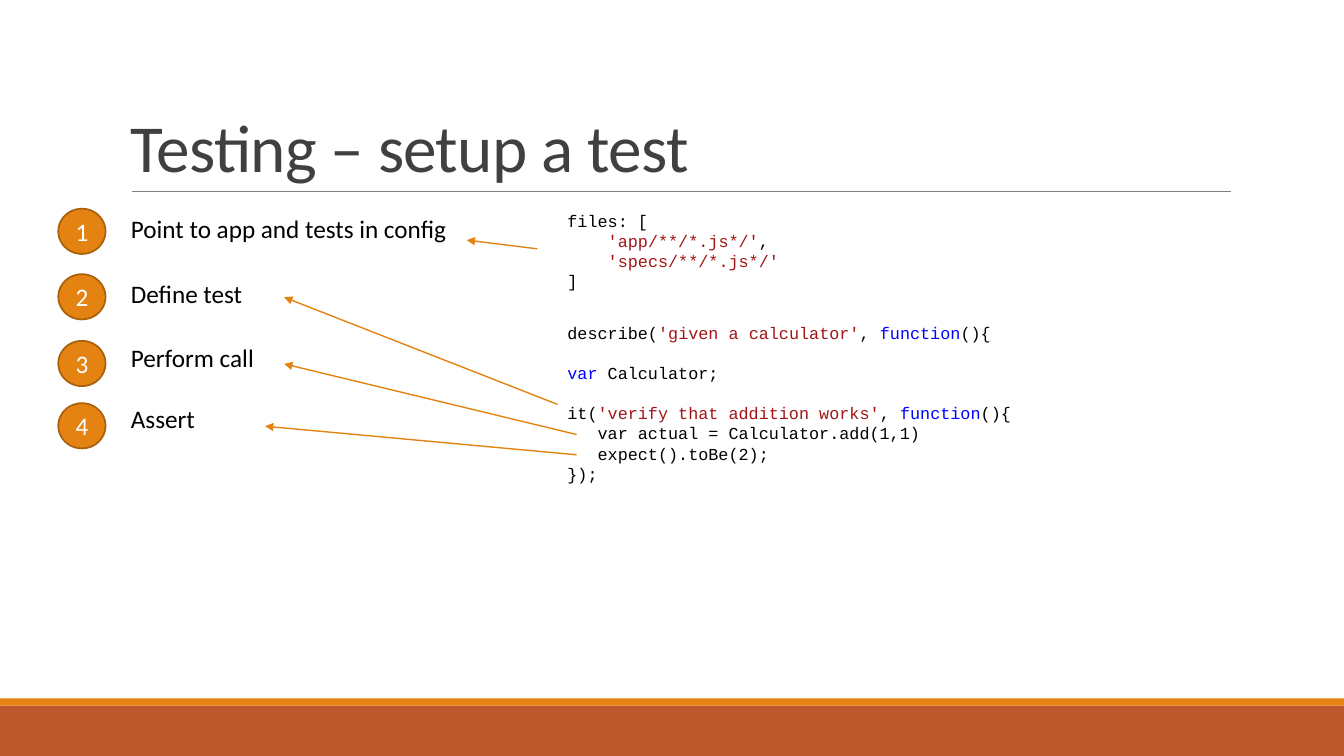
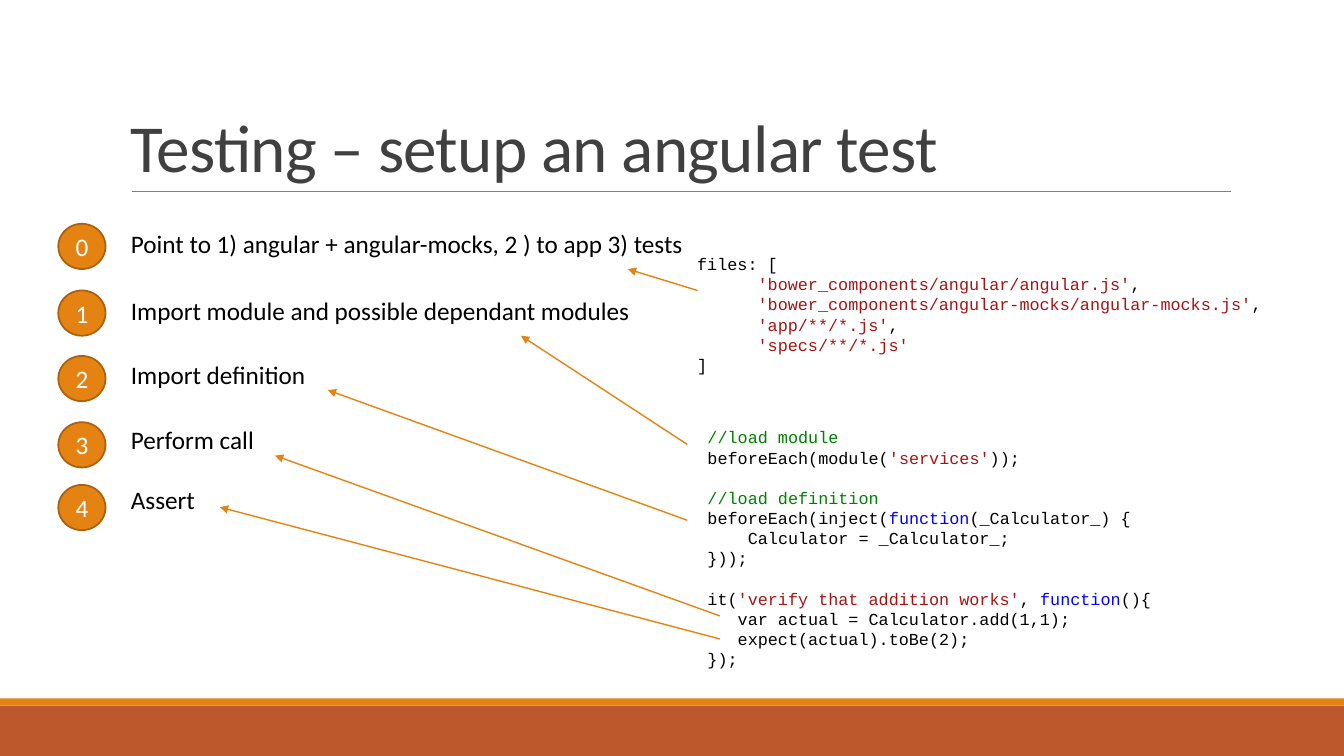
from typing import NamedTuple

from lxml.etree import SubElement
from pptx import Presentation
from pptx.dml.color import RGBColor
from pptx.enum.shapes import MSO_CONNECTOR, MSO_SHAPE
from pptx.enum.text import MSO_ANCHOR, PP_ALIGN
from pptx.oxml.ns import qn
from pptx.util import Cm, Pt

RUST = RGBColor(0xBD, 0x58, 0x2C)
ORANGE = RGBColor(0xE4, 0x83, 0x12)
BROWN = RGBColor(0xA9, 0x61, 0x0D)
GRAY = RGBColor(0x80, 0x80, 0x80)
CHARCOAL = RGBColor(0x40, 0x40, 0x40)
BLACK = RGBColor(0, 0, 0)
WHITE = RGBColor(0xFF, 0xFF, 0xFF)
STRING_RED = RGBColor(0xA3, 0x15, 0x15)
KEYWORD_BLUE = RGBColor(0, 0, 0xFF)
COMMENT_GREEN = RGBColor(0, 0x80, 0)

BODY_FONT = "Calibri"
CODE_FONT = "Courier New"
SLIDE_WIDTH, SLIDE_HEIGHT = 33.87, 19.05
LABEL_LEFT = 3.05
BADGE_LEFT = 1.47
CODE_WIDTH = 16.2
CODE_LINE = 14.4  # points
CODE_CHARACTER = 7.2  # points


class Step(NamedTuple):
    number: str
    label: str
    badge_top: float
    label_top: float


class CodeLine(NamedTuple):
    """Runs are plain text or (text, colour); indent counts characters."""
    runs: list
    indent: int = 0
    gap_before: bool = False


def string(text):
    return f"'{text}'", STRING_RED


def comment(text):
    return f"//{text}", COMMENT_GREEN


FUNCTION = ("function", KEYWORD_BLUE)
VERIFY_LINE = CodeLine(
    ["it(", string("verify that addition works"), ", ", FUNCTION, "(){"],
    gap_before=True)
END_LINE = CodeLine(["});"])


def write(paragraph, text, *, size=18, font=BODY_FONT, color=BLACK,
          align=PP_ALIGN.LEFT, tracking=None):
    """Append a formatted run; tracking is in hundredths of a point."""
    paragraph.alignment = align
    run = paragraph.add_run()
    run.text = text
    run.font.size = Pt(size)
    run.font.name = font
    run.font.color.rgb = color
    if tracking is not None:
        run.font._element.set("spc", str(tracking))


def add_frame(slide, left, top, width, height, anchor=MSO_ANCHOR.TOP):
    """Add an empty wrapping text box and return its text frame."""
    frame = slide.shapes.add_textbox(
        Cm(left), Cm(top), Cm(width), Cm(height)).text_frame
    frame.word_wrap = True
    frame.vertical_anchor = anchor
    return frame


def add_filled(slide, kind, left, top, width, height, fill):
    shape = slide.shapes.add_shape(
        kind, Cm(left), Cm(top), Cm(width), Cm(height))
    shape.shadow.inherit = False
    shape.fill.solid()
    shape.fill.fore_color.rgb = fill
    shape.line.fill.background()
    return shape


def add_line(slide, start, end, color, weight):
    connector = slide.shapes.add_connector(
        MSO_CONNECTOR.STRAIGHT, *(Cm(value) for value in (*start, *end)))
    connector.line.color.rgb = color
    connector.line.width = Pt(weight)
    SubElement(connector._element.spPr, qn("a:effectLst"))
    return connector


def add_arrow(slide, start, end):
    arrow = add_line(slide, start, end, ORANGE, 1)
    SubElement(arrow.line._get_or_add_ln(), qn("a:tailEnd"), type="triangle")


def add_base(presentation, title):
    """Add a slide with the shared bands, title and title rule."""
    slide = presentation.slides.add_slide(presentation.slide_layouts[6])
    for top, height, color in ((17.78, 1.27, RUST), (17.6, 0.18, ORANGE)):
        add_filled(slide, MSO_SHAPE.RECTANGLE, 0, top, SLIDE_WIDTH, height,
                   color)
    add_line(slide, (3.33, 4.83), (31.01, 4.83), GRAY, 0.5)
    frame = add_frame(slide, LABEL_LEFT, 0.79, 27.94, 4.04, MSO_ANCHOR.BOTTOM)
    heading = frame.paragraphs[0]
    heading.line_spacing = 0.85
    write(heading, title, size=48, color=CHARCOAL, tracking=-50)
    return slide


def add_step(slide, step, label_width):
    badge = add_filled(slide, MSO_SHAPE.OVAL, BADGE_LEFT, step.badge_top,
                       1.19, 1.14, ORANGE)
    badge.line.color.rgb = BROWN
    badge.line.width = Pt(1.25)
    frame = badge.text_frame
    frame.margin_left = frame.margin_right = 0
    frame.margin_top = frame.margin_bottom = 0
    frame.vertical_anchor = MSO_ANCHOR.MIDDLE
    write(frame.paragraphs[0], step.number, color=WHITE,
          align=PP_ALIGN.CENTER)
    label = add_frame(slide, LABEL_LEFT, step.label_top, label_width, 1.02)
    write(label.paragraphs[0], step.label)


def add_code(slide, left, top, lines):
    rows = len(lines) + sum(line.gap_before for line in lines)
    height = Pt(rows * CODE_LINE).cm + 0.25
    frame = add_frame(slide, left, top, CODE_WIDTH, height)
    for index, line in enumerate(lines):
        paragraph = frame.add_paragraph() if index else frame.paragraphs[0]
        paragraph.line_spacing = Pt(CODE_LINE)
        if line.gap_before:
            paragraph.space_before = Pt(CODE_LINE)
        if line.indent:
            margin = Pt(line.indent * CODE_CHARACTER)
            properties = paragraph._p.get_or_add_pPr()
            properties.set("marL", str(int(margin)))
            properties.set("indent", "0")
        for run in line.runs:
            text, color = (run, BLACK) if isinstance(run, str) else run
            write(paragraph, text, size=12, font=CODE_FONT, color=color)


def add_walkthrough(presentation, title, label_width, steps, listings, arrows):
    """Add a slide whose arrows lead from code lines to numbered steps."""
    slide = add_base(presentation, title)
    for step in steps:
        add_step(slide, step, label_width)
    for left, top, lines in listings:
        add_code(slide, left, top, lines)
    for start, end in arrows:
        add_arrow(slide, start, end)


def add_plain_test(presentation):
    steps = [
        Step("1", "Point to app and tests in config", 5.26, 5.26),
        Step("2", "Define test", 6.91, 6.88),
        Step("3", "Perform call", 8.59, 8.51),
        Step("4", "Assert", 10.16, 10.03),
    ]
    config = [
        CodeLine(["files: ["]),
        CodeLine([string("app/**/*.js*/"), ","], indent=4),
        CodeLine([string("specs/**/*.js*/")], indent=4),
        CodeLine(["]"]),
    ]
    test = [
        CodeLine(["describe(", string("given a calculator"), ", ", FUNCTION,
                  "(){"]),
        CodeLine([("var", KEYWORD_BLUE), " Calculator;"], gap_before=True),
        VERIFY_LINE,
        CodeLine(["var actual = Calculator.add(1,1)"], indent=3),
        CodeLine(["expect().toBe(2);"], indent=3),
        END_LINE,
    ]
    arrows = [
        ((13.54, 6.27), (11.76, 6.05)),
        ((14.05, 10.19), (7.16, 7.49)),
        ((14.53, 10.95), (7.16, 9.17)),
        ((14.53, 11.46), (6.68, 10.74)),
    ]
    add_walkthrough(presentation, "Testing – setup a test", 9, steps,
                    [(14.05, 5.18, config), (14.05, 8, test)], arrows)


def add_angular_test(presentation):
    steps = [
        Step("0", "Point to 1) angular + angular-mocks, 2 ) to app 3) tests",
             5.64, 5.64),
        Step("1", "Import module and possible dependant modules", 7.32, 7.32),
        Step("2", "Import definition", 8.97, 8.94),
        Step("3", "Perform call", 10.64, 10.57),
        Step("4", "Assert", 12.22, 12.09),
    ]
    config = [
        CodeLine(["files: ["]),
        CodeLine([string("bower_components/angular/angular.js"), ","],
                 indent=6),
        CodeLine([string("bower_components/angular-mocks/angular-mocks.js"),
                  ","], indent=6),
        CodeLine([string("app/**/*.js"), ","], indent=6),
        CodeLine([string("specs/**/*.js")], indent=6),
        CodeLine(["]"]),
    ]
    test = [
        CodeLine([comment("load module")]),
        CodeLine(["beforeEach(module(", string("services"), "));"]),
        CodeLine([comment("load definition")], gap_before=True),
        CodeLine(["beforeEach(inject(", FUNCTION, "(_Calculator_) {"]),
        CodeLine(["Calculator = _Calculator_;"], indent=4),
        CodeLine(["}));"]),
        VERIFY_LINE,
        CodeLine(["var actual = Calculator.add(1,1);"], indent=3),
        CodeLine(["expect(actual).toBe(2);"], indent=3),
        END_LINE,
    ]
    arrows = [
        ((17.58, 7.32), (15.82, 6.78)),
        ((17.32, 11.2), (13.13, 8.46)),
        ((17.32, 13.11), (8.26, 9.83)),
        ((18.14, 15.52), (6.93, 11.48)),
        ((18.14, 16.1), (5.54, 12.78)),
    ]
    add_walkthrough(presentation, "Testing – setup an angular test", 15, steps,
                    [(17.32, 6.27, config), (17.58, 10.64, test)], arrows)


def main():
    presentation = Presentation()
    presentation.slide_width = Cm(SLIDE_WIDTH)
    presentation.slide_height = Cm(SLIDE_HEIGHT)
    add_plain_test(presentation)
    add_angular_test(presentation)
    presentation.save("out.pptx")


if __name__ == "__main__":
    main()
